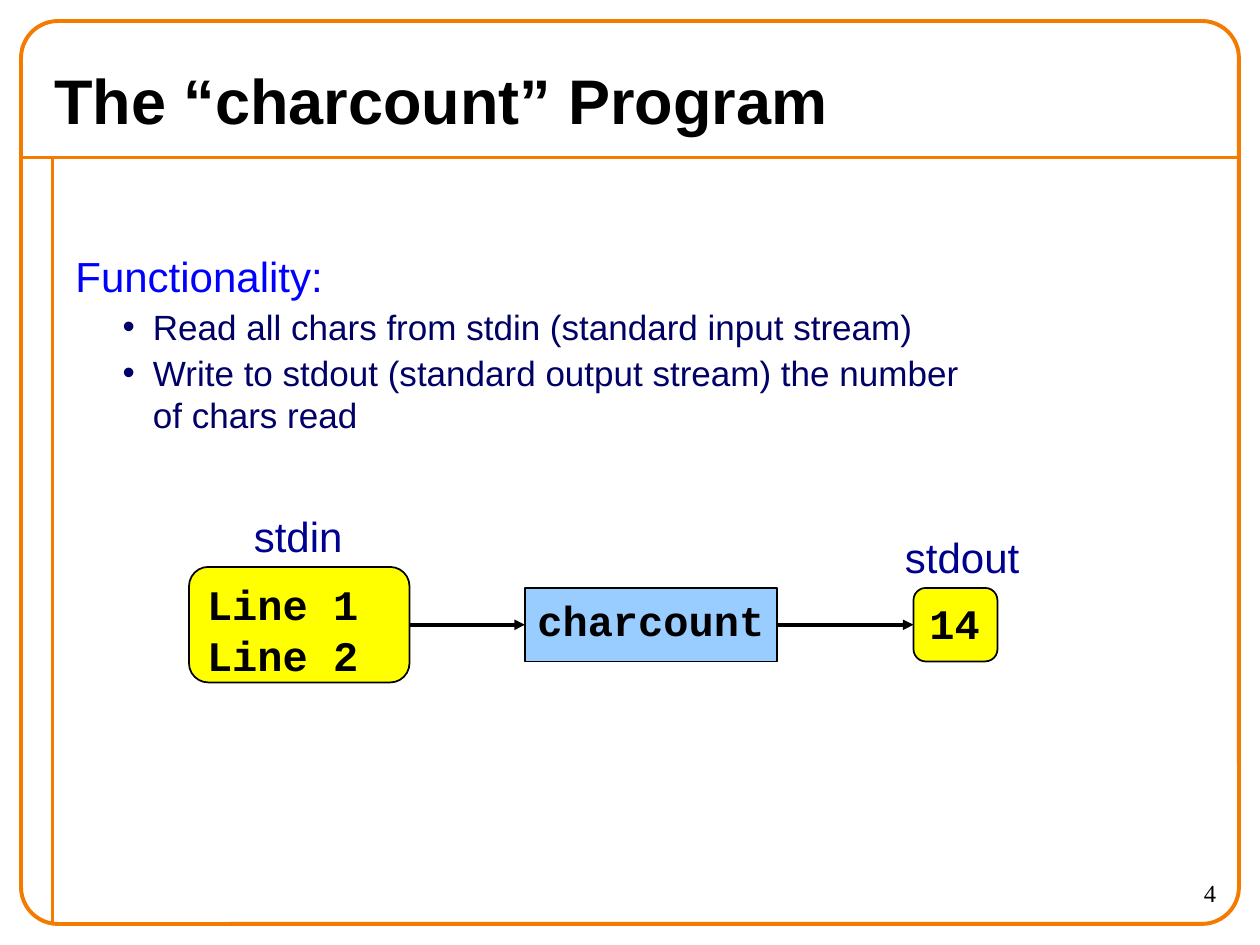
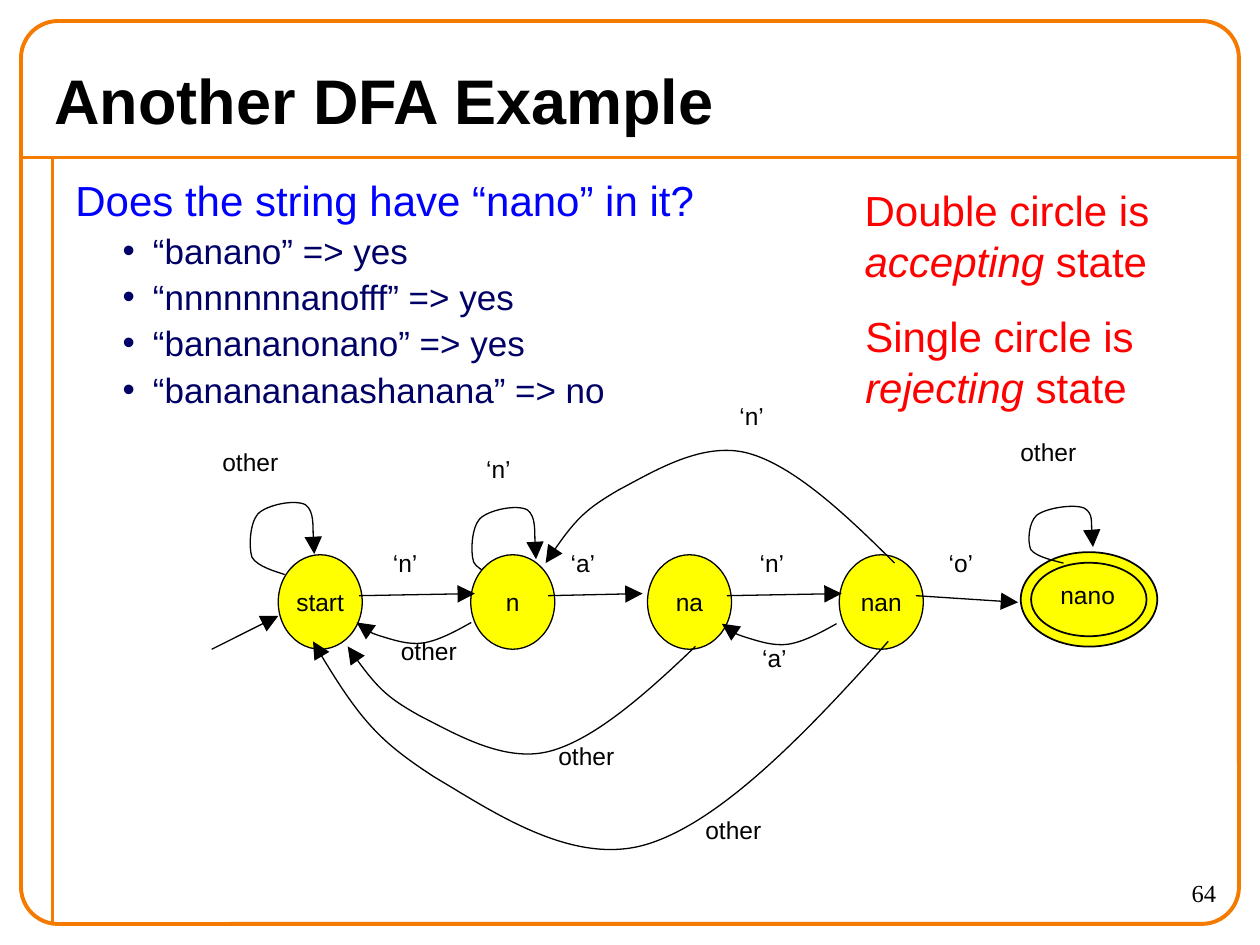
from dataclasses import dataclass

from lxml import etree
from pptx import Presentation
from pptx.dml.color import RGBColor
from pptx.enum import shapes, text
from pptx.oxml import ns
from pptx.util import Pt


@dataclass(frozen=True)
class Theme:
    # Colours
    frame: str = "F47A00"
    ink: str = "000000"
    heading: str = "0000FF"
    bullet: str = "000066"
    stream: str = "000090"
    note: str = "FF0000"
    data: str = "FFFF00"
    program: str = "99CCFF"
    # Fonts and type sizes
    sans: str = "Arial"
    mono: str = "Courier New"
    serif: str = "Times New Roman"
    title_size: int = 36
    large: int = 24
    medium: int = 20
    small: int = 14
    # Line widths
    thin: float = 0.75
    outline: float = 1
    flow: float = 2
    border: float = 2.25


THEME = Theme()

# Bezier control points in units of the curve's width and height
ARC = [(0, 0), (.14, .4), (.29, .8), (.42, .9), (.55, 1),
       (.69, .75), (.79, .6), (.88, .45), (.92, .35), (1, 0)]
LOOP = [(0, 0), (-.1, -.03), (-.42, -.1), (-.5, -.23), (-.55, -.37),
        (-.53, -.68), (-.41, -.8), (-.28, -.92), (.16, -1), (.32, -.92),
        (.45, -.83), (.43, -.4), (.45, -.27)]


def add_xml(parent, tag, **attributes):
    return etree.SubElement(parent, ns.qn(tag), attributes)


def write(frame, content, size=THEME.small, color=THEME.ink, font=THEME.sans,
          bold=False, align=text.PP_ALIGN.LEFT, anchor=text.MSO_ANCHOR.TOP,
          wrap=True, bullet=False, hanging=0, margin=0, before=0, append=False):
    """Write one paragraph per line; _word_ is italic and \\v breaks a line."""
    frame.word_wrap = wrap
    frame.vertical_anchor = anchor
    for number, line in enumerate(content.split("\n")):
        first = number == 0 and not append
        paragraph = frame.paragraphs[0] if first else frame.add_paragraph()
        properties = paragraph._p.get_or_add_pPr()
        if hanging:
            properties.set("marL", str(Pt(margin)))
            properties.set("indent", str(-Pt(hanging)))
        if bullet:
            add_xml(add_xml(properties, "a:buClr"), "a:srgbClr", val=color)
            add_xml(properties, "a:buFont", typeface=font)
            add_xml(properties, "a:buChar", char="•")
        paragraph.alignment = align
        paragraph.space_before = Pt(0 if first else before)
        for index, piece in enumerate(line.split("_")):
            for part, words in enumerate(piece.split("\v")):
                if part:
                    paragraph.add_line_break()
                if words:
                    run = paragraph.add_run()
                    run.text = words
                    run.font.size = Pt(size)
                    run.font.name = font
                    run.font.bold = bold
                    run.font.italic = index % 2 == 1
                    run.font.color.rgb = RGBColor.from_string(color)


class Deck:
    def __init__(self, theme):
        self.theme = theme
        self.file = Presentation()
        self.file.slide_width, self.file.slide_height = Pt(720), Pt(540)
        self.slide = None

    def start_slide(self, title, number):
        t = self.theme
        self.slide = self.file.slides.add_slide(self.file.slide_layouts[6])
        # Shared frame
        self.line((12, 90), (708, 90), t.frame, t.border)
        self.line((30, 90), (30, 528), t.frame, t.border)
        self.shape("ROUNDED_RECTANGLE", 12, 12, 696, 516, line=t.frame,
                   width=t.border, corner=.041)
        # Title and page number
        self.label(title, 24, 30, 672, 54, size=t.title_size, bold=True,
                   anchor=text.MSO_ANCHOR.MIDDLE)
        self.label(str(number), 630, 498, 72, 30, font=t.serif,
                   align=text.PP_ALIGN.RIGHT)

    def label(self, content, x, y, w, h, **style):
        box = self.slide.shapes.add_textbox(Pt(x), Pt(y), Pt(w), Pt(h))
        write(box.text_frame, content, **style)
        return box

    def body(self, heading, bullets, y, h):
        t = self.theme
        box = self.label(heading, 36, y, 666, h, size=t.large, color=t.heading,
                         margin=17.28, hanging=17.28)
        write(box.text_frame, "\n".join(bullets), size=t.medium, color=t.bullet,
              bullet=True, margin=44.3, hanging=17.28, before=2.5, append=True)

    def shape(self, kind, x, y, w, h, content="", fill=None, line=THEME.ink,
              width=THEME.outline, corner=None, **style):
        shape = self.slide.shapes.add_shape(
            shapes.MSO_SHAPE[kind], Pt(x), Pt(y), Pt(w), Pt(h))
        if corner is not None:
            shape.adjustments[0] = corner
        self.paint(shape, line, width, fill)
        if content:
            write(shape.text_frame, content, **style)
        return shape

    def paint(self, shape, line, width, fill=None):
        shape.shadow.inherit = False
        if fill:
            shape.fill.solid()
            shape.fill.fore_color.rgb = RGBColor.from_string(fill)
        else:
            shape.fill.background()
        self.stroke(shape, line, width)

    def stroke(self, shape, color, width, head=None):
        shape.line.color.rgb = RGBColor.from_string(color)
        shape.line.width = Pt(width)
        if head:
            add_xml(shape.line._get_or_add_ln(), "a:tailEnd",
                    type="triangle", w=head, len=head)

    def line(self, start, end, color=THEME.ink, width=THEME.thin, head=None):
        connector = self.slide.shapes.add_connector(
            shapes.MSO_CONNECTOR.STRAIGHT, *map(Pt, start + end))
        self.stroke(connector, color, width, head)
        add_xml(connector._element.spPr, "a:effectLst")
        return connector

    def flow(self, source, target):
        arrow = self.line((0, 0), (1, 1), width=self.theme.flow, head="med")
        arrow.begin_connect(source, 3)
        arrow.end_connect(target, 1)

    def curve(self, unit, x, y, w, h):
        points = [(Pt(x + w * u), Pt(y + h * v)) for u, v in unit]
        builder = self.slide.shapes.build_freeform(*points[0])
        builder.add_line_segments(points[1:], close=False)
        curve = builder.convert_to_shape()
        self.paint(curve, self.theme.ink, self.theme.thin)
        self.stroke(curve, self.theme.ink, self.theme.thin, "lg")
        # Each three line ends become one Bezier segment
        outline = next(curve._element.iter(ns.qn("a:path")))
        outline.set("fill", "none")
        corners = outline.findall(ns.qn("a:lnTo"))
        for index, corner in enumerate(corners):
            if index % 3 == 0:
                segment = add_xml(outline, "a:cubicBezTo")
            segment.append(corner[0])
            outline.remove(corner)


def charcount_slide(deck):
    t = deck.theme
    deck.start_slide("The “charcount” Program", 4)
    deck.body("Functionality:",
              ["Read all chars from stdin (standard input stream)",
               "Write to stdout (standard output stream) the number\vof chars read"],
              139.6, 388)
    # Input, program and output
    code = dict(size=t.large, font=t.mono, bold=True)
    program = deck.shape("RECTANGLE", 300, 336, 144, 42, "charcount",
                         fill=t.program, wrap=False, **code)
    stdin = deck.shape("ROUNDED_RECTANGLE", 108, 324, 126, 66, "Line 1\nLine 2",
                       fill=t.data, corner=.167, **code)
    stdout = deck.shape("ROUNDED_RECTANGLE", 522, 336, 48, 42, "14",
                        fill=t.data, corner=.167, **code)
    deck.flow(stdin, program)
    deck.flow(program, stdout)
    deck.label("stdin", 138, 288, 72, 36, size=t.large, color=t.stream)
    deck.label("stdout", 510, 300, 84, 36, size=t.large, color=t.stream)


def dfa_slide(deck):
    t = deck.theme
    deck.start_slide("Another DFA Example", 64)
    deck.body("Does the string have “nano” in it?",
              ["“banano” => yes", "“nnnnnnnanofff” => yes",
               "“banananonano” => yes", "“bananananashanana” => no"], 96, 162)

    # Loop on n, partly behind its state
    deck.curve(LOOP, 289.4, 331.2, 37.5, 43.2)

    # States
    deck.shape("OVAL", 583.3, 315.5, 78, 54, fill=t.data)
    deck.shape("OVAL", 589.2, 321.6, 66, 42, "nano", fill=t.data)
    for state, x in [("start", 159), ("n", 269), ("na", 370), ("nan", 479.6)]:
        deck.shape("OVAL", x, 317, 48, 54, state, fill=t.data, width=t.thin,
                   wrap=False, align=text.PP_ALIGN.CENTER,
                   anchor=text.MSO_ANCHOR.MIDDLE)

    # Entry and forward transitions
    for start, end in [((121, 371), (159, 352)),
                       ((205.2, 340.4), (271.4, 339.2)),
                       ((313.2, 340.4), (367.2, 339.2)),
                       ((415.4, 340.4), (481, 339.2)),
                       ((523.4, 340.4), (581.8, 344.2))]:
        deck.line(start, end, head="lg")

    # Loops on start and nano
    for x, y, h in [(162.7, 328.3, 43.2), (607.7, 321.8, 34.1)]:
        deck.curve(LOOP, x, y, 37.5, h)

    # Backward transitions
    for x, y, w, h in [(511.2, 321.8, 199.4, -69.8), (397.4, 369.4, 198.7, 66.6),
                       (507.6, 366.5, 328.7, 128.9), (269.3, 355.7, 65.5, 13),
                       (478, 356.4, 65.5, 13)]:
        deck.curve(ARC, x, y, -w, h)

    # Transition labels
    for symbol, x, y in [("‘n’", 217.4, 309.6), ("‘a’", 319, 309.6),
                         ("‘n’", 427, 309.6), ("‘o’", 535, 309.6),
                         ("‘n’", 270.7, 255.6), ("‘n’", 415.4, 225.4),
                         ("‘a’", 428.4, 363.6), ("other", 120, 252),
                         ("other", 576, 246), ("other", 222, 360),
                         ("other", 312, 420), ("other", 396, 462)]:
        deck.label(symbol, x, y, 50 if symbol == "other" else 32, 24)

    # Legend
    for meaning, x, y in [("Double circle is\n_accepting_ state", 487, 102),
                          ("Single circle is\n_rejecting_ state", 487.4, 174)]:
        deck.label(meaning, x, y, 180, 65, size=t.large, color=t.note)


def main():
    deck = Deck(THEME)
    charcount_slide(deck)
    dfa_slide(deck)
    deck.file.save("out.pptx")


if __name__ == "__main__":
    main()
